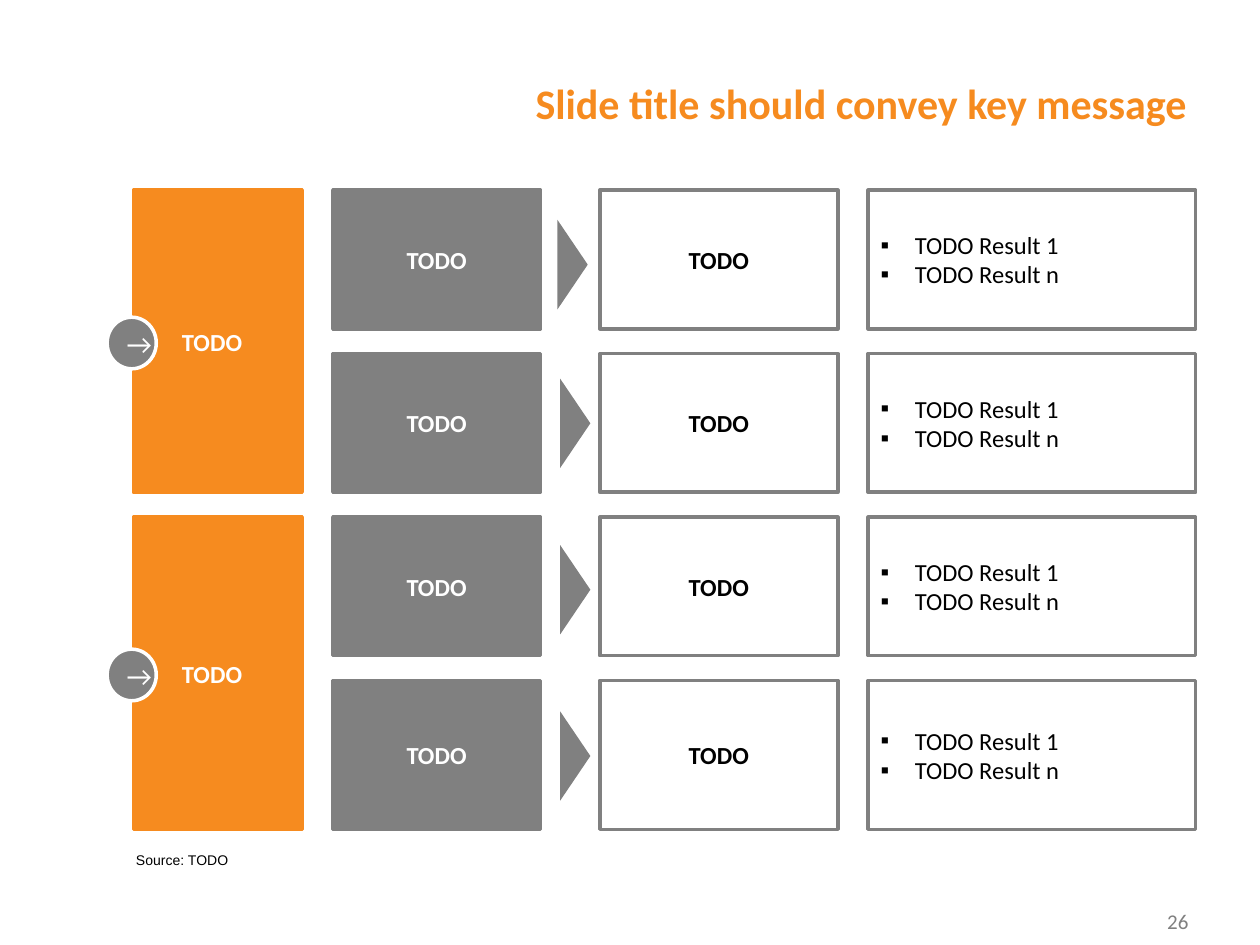
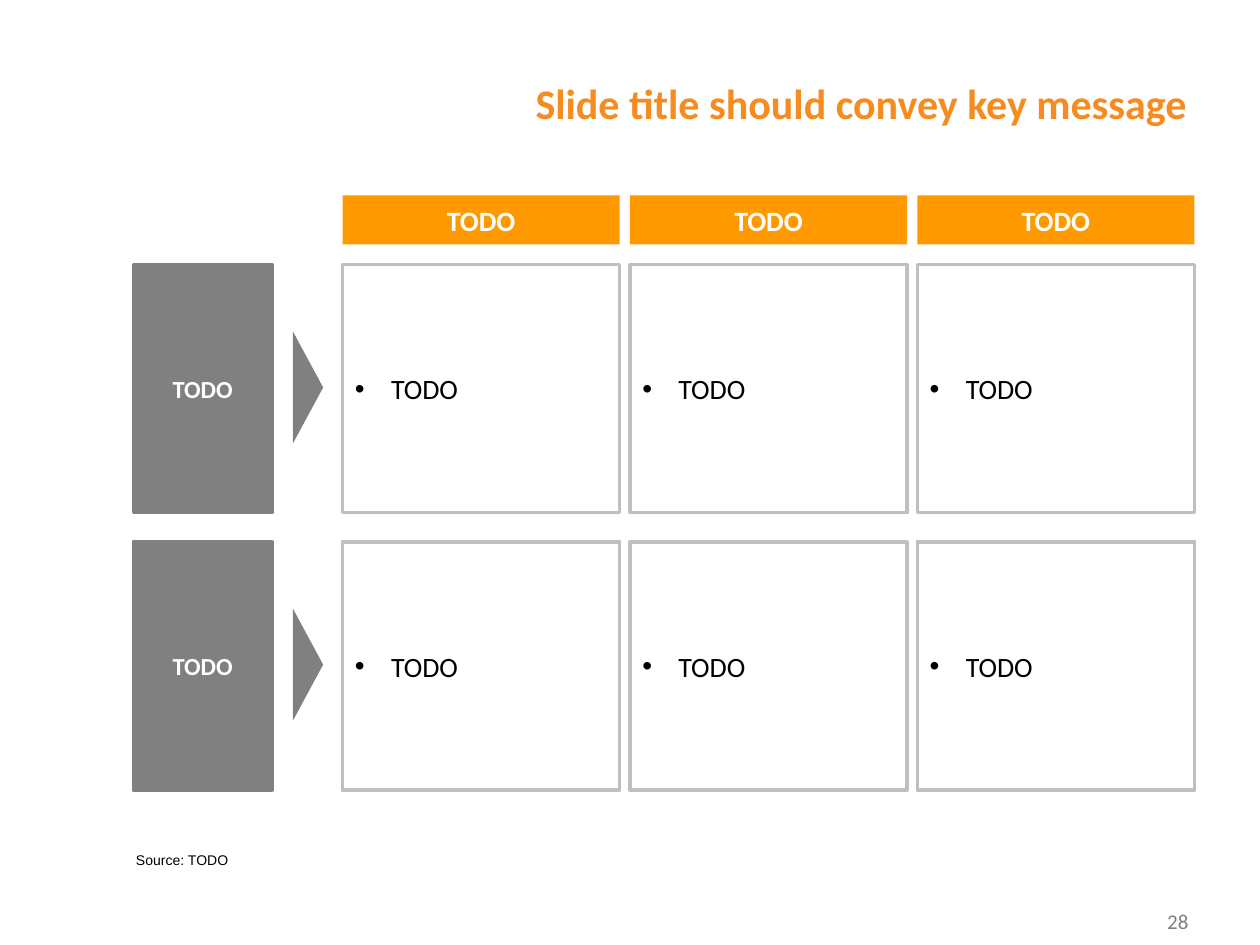
from dataclasses import dataclass

from lxml import etree
from pptx import Presentation
from pptx.dml.color import RGBColor
from pptx.enum.shapes import MSO_SHAPE
from pptx.enum.text import MSO_ANCHOR, MSO_AUTO_SIZE, PP_ALIGN
from pptx.oxml.ns import qn
from pptx.util import Pt

RECT, OVAL, TRIANGLE = MSO_SHAPE.RECTANGLE, MSO_SHAPE.OVAL, MSO_SHAPE.ISOSCELES_TRIANGLE
LEFT, CENTER, RIGHT = PP_ALIGN.LEFT, PP_ALIGN.CENTER, PP_ALIGN.RIGHT
TOP, MIDDLE, BOTTOM = MSO_ANCHOR.TOP, MSO_ANCHOR.MIDDLE, MSO_ANCHOR.BOTTOM
TITLE_ONLY = 5


@dataclass(frozen=True)
class Theme:
    orange: str = "F68B1F"
    amber: str = "FF9900"
    gray: str = "808080"
    silver: str = "BFBFBF"
    white: str = "FFFFFF"
    black: str = "000000"
    font: str = "Calibri"
    source_font: str = "Arial"
    title: int = 24
    large: int = 16
    body: int = 14
    page: int = 12
    source: int = 8
    outline: int = 2


THEME = Theme()

# Content
TITLE = "Slide title should convey key message"
SOURCE = "Source: TODO"
RESULTS = ["TODO Result 1", "TODO Result n"]
PROCESS = {
    "page": "26",
    "phases": [("TODO", 0, 1), ("TODO", 2, 3)],  # label, first row, last row
    "rows": [("TODO", "TODO", RESULTS)] * 4,     # step, outcome, results
}
MATRIX = {
    "page": "28",
    "headings": ["TODO", "TODO", "TODO"],
    "rows": [("TODO", ["TODO", "TODO", "TODO"])] * 2,
}

# Layout in points
MARGIN_LEFT = 76.3
PHASE_WIDTH = 96.5
STEP_LEFT, STEP_WIDTH = 190.1, 118.8
OUTCOME_LEFT, OUTCOME_WIDTH = 342.7, 136.1
RESULT_LEFT, RESULT_WIDTH = 496.1, 187.2
PROCESS_TOP, PROCESS_PITCH = 108.7, 93.4
PROCESS_HEIGHTS = [79.2, 79.2, 79.2, 85]
POINTER_CENTERS = [(327.2, 151.2), (328.7, 241.9), (328.7, 337), (328.7, 432)]
BADGE_WIDTH, BADGE_HEIGHT = 28.1, 29.5
POINTER_DEPTH = 17.3

CELL_LEFT, CELL_PITCH, CELL_WIDTH = 195.8, 164.2, 158.4
HEADING_TOP, HEADING_HEIGHT = 111.6, 28.1
MATRIX_TOP, MATRIX_PITCH, MATRIX_HEIGHT = 151.2, 158.4, 141.8
ROW_LABEL_WIDTH = 79.2
MATRIX_POINTER_X = 176


def write(shape, text, *, size=THEME.body, color=THEME.black, bold=False,
          font=THEME.font, align=LEFT, anchor=MIDDLE, bullet=None,
          indent=0, spacing=None):
    """Fill a shape with one paragraph per line of text."""
    frame = shape.text_frame
    frame.word_wrap = True
    frame.auto_size = MSO_AUTO_SIZE.NONE
    frame.vertical_anchor = anchor
    lines = [text] if isinstance(text, str) else text
    for number, line in enumerate(lines):
        paragraph = frame.add_paragraph() if number else frame.paragraphs[0]
        paragraph.text = line
        paragraph.alignment = align
        if spacing:
            paragraph.line_spacing = Pt(spacing)
        properties = paragraph._p.get_or_add_pPr()
        if indent:
            properties.set("marL", str(Pt(indent)))
            properties.set("indent", str(Pt(-indent if bullet else 0)))
        if bullet:
            etree.SubElement(properties, qn("a:buFont"), typeface="Arial")
            etree.SubElement(properties, qn("a:buChar"), char=bullet)
        paragraph.font.size = Pt(size)
        paragraph.font.name = font
        paragraph.font.bold = bold
        paragraph.font.color.rgb = RGBColor.from_string(color)


def add_box(slide, left, top, width, height, text=None, *, kind=RECT,
            fill=None, line=None, **text_format):
    shape = slide.shapes.add_shape(kind, Pt(left), Pt(top), Pt(width), Pt(height))
    shape.shadow.inherit = False
    if fill:
        shape.fill.solid()
        shape.fill.fore_color.rgb = RGBColor.from_string(fill)
    else:
        shape.fill.background()
    if line:
        shape.line.color.rgb = RGBColor.from_string(line)
        shape.line.width = Pt(THEME.outline)
    else:
        shape.line.fill.background()
    if text:
        write(shape, text, **text_format)
    return shape


def add_solid(slide, left, top, width, height, text, color=THEME.gray, **text_format):
    """Filled box with a bold white label."""
    settings = {"align": CENTER, "line": color} | text_format
    add_box(slide, left, top, width, height, text, fill=color,
            color=THEME.white, bold=True, **settings)


def add_pointer(slide, center_x, center_y, length):
    """Triangle pointing right."""
    add_box(slide, center_x - length / 2, center_y - POINTER_DEPTH / 2, length,
            POINTER_DEPTH, kind=TRIANGLE, fill=THEME.gray).rotation = 90


def add_label(slide, left, top, width, height, text, **text_format):
    label = slide.shapes.add_textbox(Pt(left), Pt(top), Pt(width), Pt(height))
    write(label, text, anchor=TOP, **text_format)


def start_slide(deck, page):
    """Title, page number and source line shared by all slides."""
    slide = deck.slides.add_slide(deck.slide_layouts[TITLE_ONLY])
    title = slide.shapes.title
    title.left, title.top, title.width, title.height = Pt(241.2), Pt(0), Pt(444.2), Pt(77)
    write(title, TITLE, size=THEME.title, color=THEME.orange, bold=True,
          align=RIGHT, anchor=BOTTOM, spacing=29)
    add_label(slide, 518.4, 515.5, 167.8, 24, page, size=THEME.page,
              color=THEME.gray, align=RIGHT)
    add_label(slide, 70.6, 483.1, 300.2, 16.6, SOURCE, size=THEME.source,
              font=THEME.source_font)
    return slide


def build_process(deck):
    slide = start_slide(deck, PROCESS["page"])
    tops = [PROCESS_TOP + PROCESS_PITCH * row for row in range(len(PROCESS["rows"]))]

    # Phases with arrow badges
    for phase, first, last in PROCESS["phases"]:
        top = tops[first]
        height = tops[last] + PROCESS_HEIGHTS[last] - top
        add_solid(slide, MARGIN_LEFT, top, PHASE_WIDTH, height, phase,
                  color=THEME.orange, align=LEFT, indent=20.6)
        add_box(slide, 61.2, top + (height - BADGE_HEIGHT) / 2 + 1, BADGE_WIDTH,
                BADGE_HEIGHT, "→", kind=OVAL, fill=THEME.gray, line=THEME.white,
                size=THEME.large, color=THEME.white, align=CENTER)

    # Step, pointer, outcome and results of each row
    for (step, outcome, results), top, height, center in zip(
            PROCESS["rows"], tops, PROCESS_HEIGHTS, POINTER_CENTERS):
        add_solid(slide, STEP_LEFT, top, STEP_WIDTH, height, step)
        add_pointer(slide, *center, 51.1)
        add_box(slide, OUTCOME_LEFT, top, OUTCOME_WIDTH, height, outcome,
                line=THEME.gray, bold=True, align=CENTER)
        add_box(slide, RESULT_LEFT, top, RESULT_WIDTH, height, results,
                line=THEME.gray, bullet="▪", indent=19.6)


def build_matrix(deck):
    slide = start_slide(deck, MATRIX["page"])
    lefts = [CELL_LEFT + CELL_PITCH * column for column in range(len(MATRIX["headings"]))]

    # Column headings
    for left, heading in zip(lefts, MATRIX["headings"]):
        add_solid(slide, left, HEADING_TOP, CELL_WIDTH, HEADING_HEIGHT, heading,
                  color=THEME.amber, line=None, size=THEME.large)

    # Row labels, pointers and cells
    for row, (label, cells) in enumerate(MATRIX["rows"]):
        top = MATRIX_TOP + MATRIX_PITCH * row
        add_solid(slide, MARGIN_LEFT, top, ROW_LABEL_WIDTH, MATRIX_HEIGHT, label)
        add_pointer(slide, MATRIX_POINTER_X, top + MATRIX_HEIGHT / 2 - 0.7, 64.1)
        for left, cell in zip(lefts, cells):
            add_box(slide, left, top, CELL_WIDTH, MATRIX_HEIGHT, cell,
                    line=THEME.silver, size=THEME.large, bullet="•", indent=20.6)


def main():
    deck = Presentation()
    deck.slide_width, deck.slide_height = Pt(720), Pt(540)
    build_process(deck)
    build_matrix(deck)
    deck.save("out.pptx")


if __name__ == "__main__":
    main()
